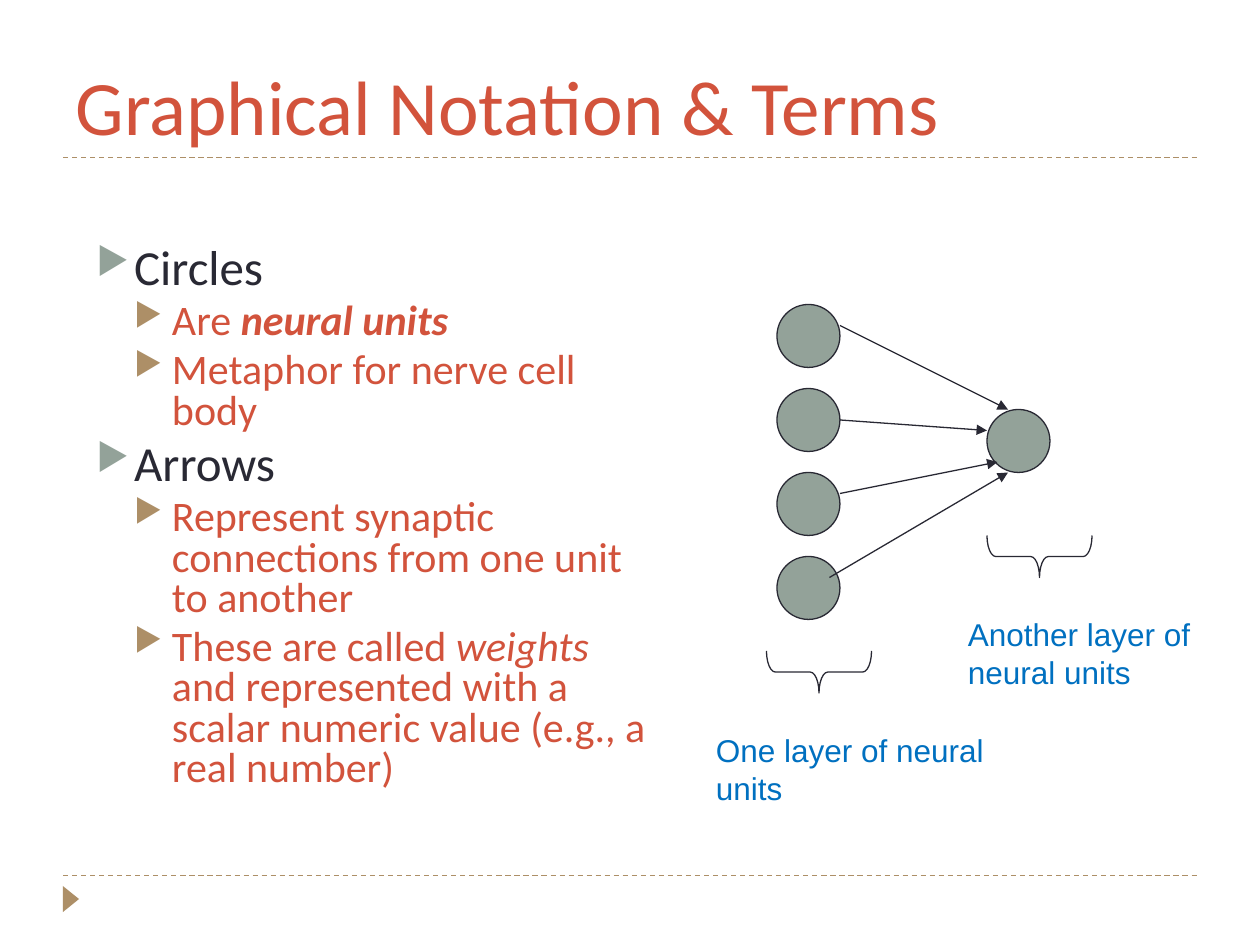
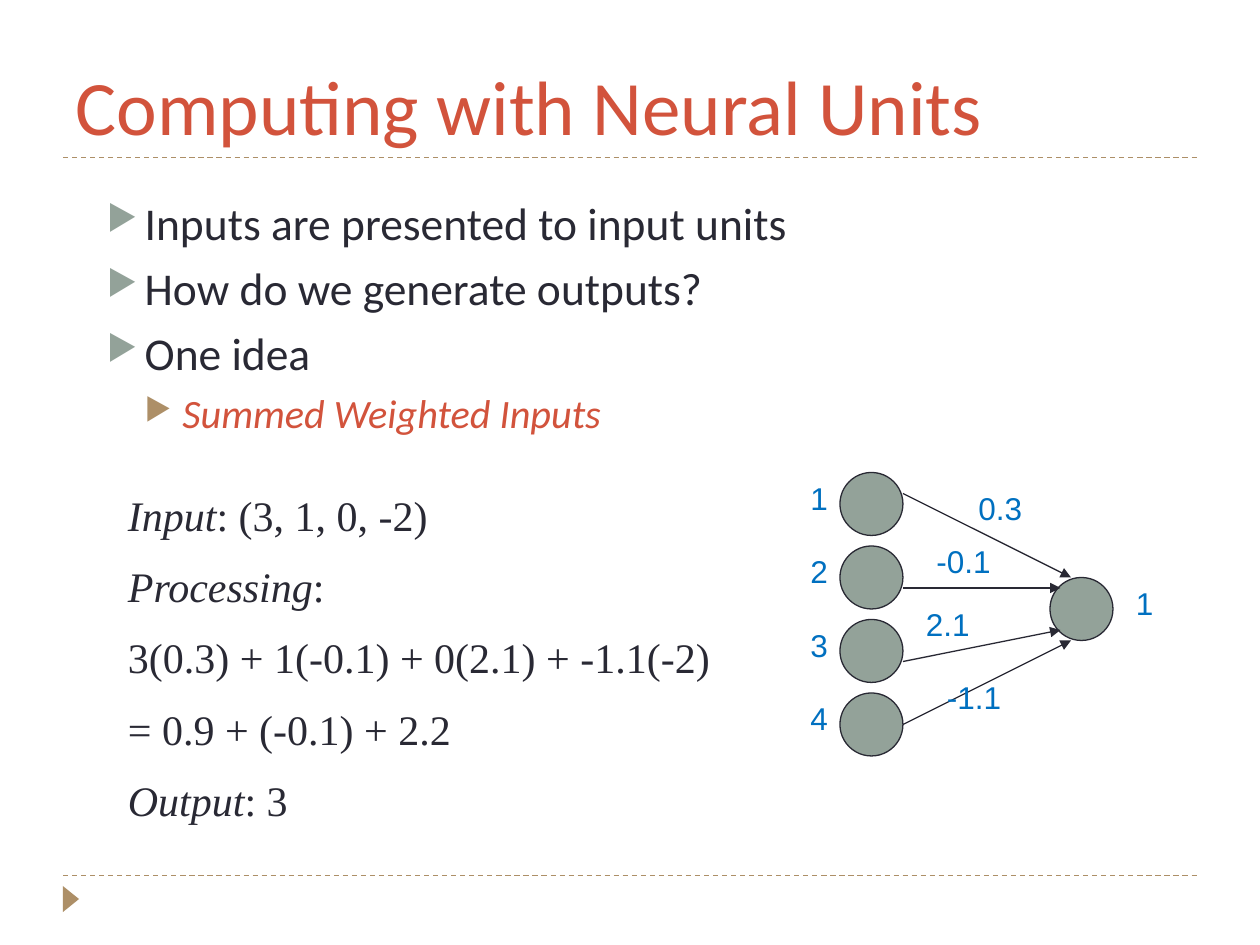
from lxml.etree import SubElement
from pptx import Presentation
from pptx.dml.color import RGBColor
from pptx.enum.dml import MSO_LINE
from pptx.enum.shapes import MSO_CONNECTOR, MSO_SHAPE
from pptx.enum.text import MSO_ANCHOR, MSO_AUTO_SIZE, PP_ALIGN
from pptx.oxml.ns import qn
from pptx.util import Inches, Pt

# The slide is a grid of square cells, twelve to the inch
COLUMNS, ROWS = 120, 90
CELL = Inches(10) / COLUMNS
UNIT_SIZE = 6
LABEL_HEIGHT = 4.8

COLORS = {"title": "D2533C", "ink": "292934", "unit": "93A299",
          "accent": "AD8F67", "label": "0070C0"}

FORMATS = {
    "title": {"name": "Calibri", "size": 44, "color": "title"},
    "label": {"name": "Arial", "size": 18, "color": "label"},
    "formula": {"name": "Times New Roman", "size": 24, "color": "ink"},
}

# One entry per outline level
LEVELS = [
    {"indent": 0.3, "before": 6, "bullet": "unit", "color": "ink"},
    {"indent": 0.6, "before": 5, "bullet": "accent", "color": "title"},
]

ITALIC = {"italic": True}
BOLD_ITALIC = {"bold": True, "italic": True}

# Arrow ends in cells from the corner of a network
OUTPUT_UNIT = (20, 10)
NOTATION_ARROWS = [((6, 2), (22, 10)), ((6, 11), (20, 12)),
                   ((6, 18), (21, 15)), ((5, 26), (22, 16))]
WEIGHT_ARROWS = [((6, 2), (22, 10)), ((6, 11), (21, 11)),
                 ((6, 18), (21, 15)), ((6, 24), (22, 16))]
WEIGHT_LABELS = [("0.3", 12, 1), ("-0.1", 8, 6), ("2.1", 7, 12), ("-1.1", 9, 19)]

NOTATION_OUTLINE = [
    (0, ["Circles"]),
    (1, ["Are ", ("neural units", BOLD_ITALIC)]),
    (1, ["Metaphor for nerve cell body"]),
    (0, ["Arrows"]),
    (1, ["Represent synaptic connections from one unit to another"]),
    (1, ["These are called ", ("weights", ITALIC),
         " and represented with a scalar numeric value (e.g., a real number)"]),
]
COMPUTING_OUTLINE = [
    (0, ["Inputs are presented to input units"]),
    (0, ["How do we generate outputs?"]),
    (0, ["One idea"]),
    (1, [("Summed Weighted Inputs", ITALIC)]),
]
WORKED_EXAMPLE = [
    [("Input", ITALIC), ": (3, 1, 0, -2)"],
    [("Processing", ITALIC), ":"],
    ["3(0.3) + 1(-0.1) + 0(2.1) + -1.1(-2)"],
    ["= 0.9 + (-0.1) + 2.2"],
    [("Output", ITALIC), ": 3"],
]


def cells(*counts):
    return [round(count * CELL) for count in counts]


def rgb(name):
    return RGBColor.from_string(COLORS[name])


# Text
def write_spans(para, spans, text_format):
    for span in spans:
        text, style = (span, {}) if isinstance(span, str) else span
        run = para.add_run()
        run.text = text
        values = {"name": text_format["name"], "size": Pt(text_format["size"]), **style}
        for key, value in values.items():
            setattr(run.font, key, value)
        run.font.color.rgb = rgb(text_format["color"])


def add_paragraphs(page, box, count, auto_size=MSO_AUTO_SIZE.NONE):
    frame = page.shapes.add_textbox(*cells(*box)).text_frame
    frame.word_wrap = True
    frame.auto_size = auto_size
    for _ in range(count - 1):
        frame.add_paragraph()
    return frame.paragraphs


def add_text(page, box, lines, format_name):
    paras = add_paragraphs(page, box, len(lines), MSO_AUTO_SIZE.SHAPE_TO_FIT_TEXT)
    for para, spans in zip(paras, lines):
        write_spans(para, spans, FORMATS[format_name])
        spacing = SubElement(para._p.get_or_add_pPr(), qn("a:spcBef"))
        SubElement(spacing, qn("a:spcPct"), val="50000")


def add_outline(page, box, items, sizes, line_spacing=1.0):
    paras = add_paragraphs(page, box, len(items))
    for para, (depth, spans) in zip(paras, items):
        level = LEVELS[depth]
        values = {"level": depth, "line_spacing": line_spacing,
                  "space_before": Pt(level["before"])}
        for key, value in values.items():
            setattr(para, key, value)
        write_spans(para, spans, {"name": "Calibri", "size": sizes[depth],
                                  "color": level["color"]})
        props = para._p.get_or_add_pPr()
        props.set("marL", str(Inches(level["indent"])))
        props.set("indent", str(-Inches(0.3)))
        color = SubElement(props, qn("a:buClr"))
        SubElement(color, qn("a:srgbClr"), val=COLORS[level["bullet"]])
        SubElement(props, qn("a:buSzPct"), val="76000")
        SubElement(props, qn("a:buChar"), char="▶")


# Shapes and lines
def add_figure(page, kind, box, fill=None, line=None, rotation=0):
    shape = page.shapes.add_shape(kind, *cells(*box))
    shape.shadow.inherit = False
    shape.rotation = rotation
    if fill:
        shape.fill.solid()
        shape.fill.fore_color.rgb = rgb(fill)
    else:
        shape.fill.background()
    if line:
        shape.line.color.rgb = rgb(line)
        shape.line.width = Pt(0.75)
    else:
        shape.line.fill.background()
    return shape


def add_line(page, start, end, color):
    line = page.shapes.add_connector(MSO_CONNECTOR.STRAIGHT, *cells(*start, *end))
    line.line.color.rgb = rgb(color)
    line.line.width = Pt(0.75)
    SubElement(line._element.spPr, qn("a:effectLst"))
    return line


def add_arrow(page, start, end):
    arrow = add_line(page, start, end, "ink")
    SubElement(arrow.line._get_or_add_ln(), qn("a:tailEnd"), type="triangle")


def add_layer_brace(page, left, top):
    brace = add_figure(page, MSO_SHAPE.LEFT_BRACE, (left, top, 4, 10),
                       line="ink", rotation=270)
    brace.adjustments[0] = 0.21


# Network of four input units and one output unit
def add_network(page, left, top, pitch, arrows):
    corners = [(0, row * pitch) for row in range(4)] + [OUTPUT_UNIT]
    for x, y in corners:
        add_figure(page, MSO_SHAPE.OVAL, (left + x, top + y, UNIT_SIZE, UNIT_SIZE),
                   fill="unit", line="ink")
    for (x1, y1), (x2, y2) in arrows:
        add_arrow(page, (left + x1, top + y1), (left + x2, top + y2))


def add_network_labels(page, left, top, pitch):
    labels = [(str(row + 1), -4, row * pitch, 11) for row in range(4)]
    labels += [(text, x, y, 13) for text, x, y in WEIGHT_LABELS]
    labels.append(("1", 27, 10, 7))
    for text, x, y, width in labels:
        add_text(page, (left + x, top + y, width, LABEL_HEIGHT), [[text]], "label")


# Frame shared by all slides
def add_page(deck, title):
    page = deck.slides.add_slide(deck.slide_layouts[5])
    for row in (83.4, 15):
        rule = add_line(page, (6, row), (COLUMNS - 6, row), "accent")
        rule.line.dash_style = MSO_LINE.DASH
    add_figure(page, MSO_SHAPE.ISOSCELES_TRIANGLE, (5.5, 84.85, 2.5, 1.55),
               fill="accent", rotation=90)

    holder = page.shapes.title
    for key, value in zip(("left", "top", "width", "height"), cells(6, 2, 108, 13)):
        setattr(holder, key, value)
    frame = holder.text_frame
    for key, value in {"vertical_anchor": MSO_ANCHOR.BOTTOM, "word_wrap": True,
                       "auto_size": MSO_AUTO_SIZE.NONE}.items():
        setattr(frame, key, value)
    para = frame.paragraphs[0]
    para.alignment = PP_ALIGN.LEFT
    write_spans(para, [title], FORMATS["title"])
    return page


def build_notation(deck):
    page = add_page(deck, "Graphical Notation & Terms")
    add_network(page, 74, 29, 8, NOTATION_ARROWS)
    for text, left, top in (("One layer of neural units", 67, 59),
                            ("Another layer of neural units", 91, 48)):
        add_layer_brace(page, left + (9 if left == 67 else 6), top)
        add_text(page, (left, top + 10, 29, 8.5), [[text]], "label")
    add_outline(page, (8, 23, 56, 54), NOTATION_OUTLINE, (28, 24), 0.8)


def build_computing(deck):
    page = add_page(deck, "Computing with Neural Units")
    add_outline(page, (9, 18, 102, 26), COMPUTING_OUTLINE, (26, 23))
    add_text(page, (11, 46, 58, 35), WORKED_EXAMPLE, "formula")
    add_network(page, 80, 45, 7, WEIGHT_ARROWS)
    add_network_labels(page, 80, 45, 7)


def main():
    deck = Presentation()
    deck.slide_width, deck.slide_height = cells(COLUMNS, ROWS)
    build_notation(deck)
    build_computing(deck)
    deck.save("out.pptx")


if __name__ == "__main__":
    main()
